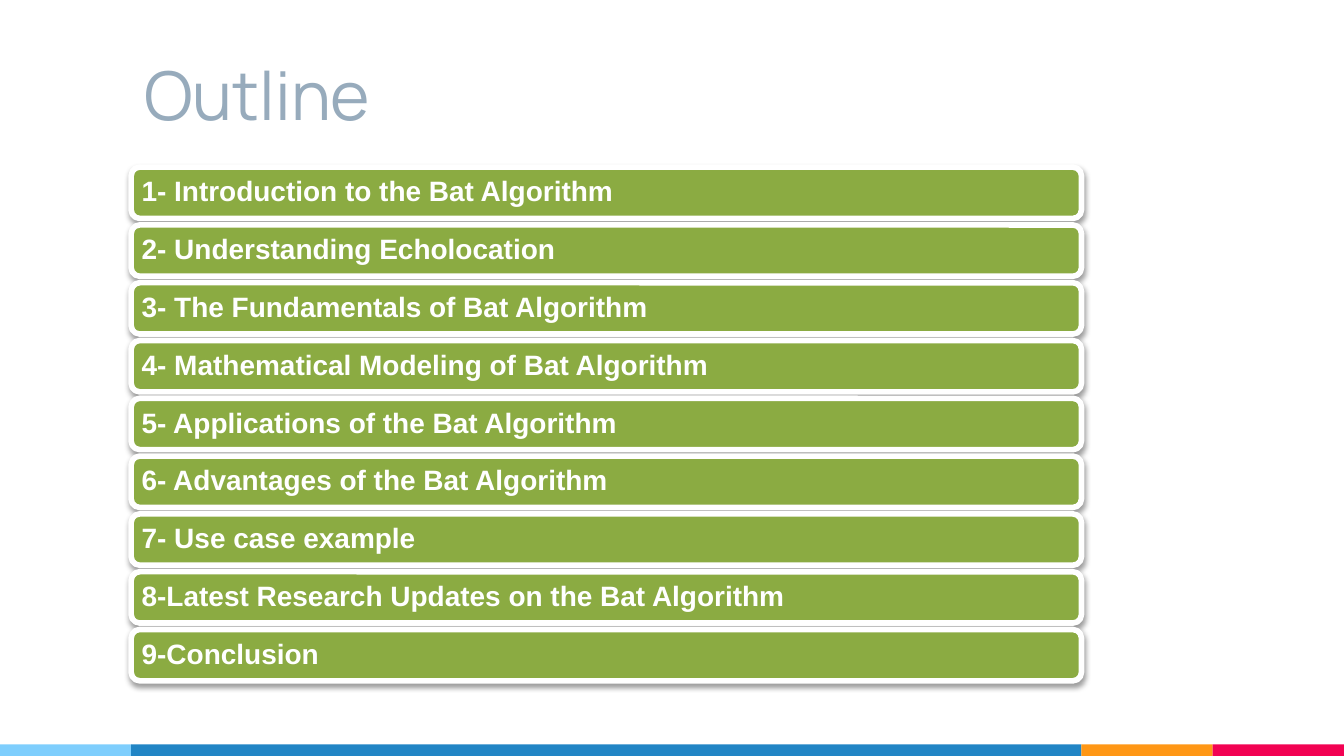
from lxml import etree
from pptx import Presentation
from pptx import util as u
from pptx.dml.color import RGBColor
from pptx.enum import shapes, text
from pptx.oxml import ns

HUES = {
    "title": "97ABBC", "bar": "8BAB42", "white": "FFFFFF", "black": "000000",
    "sky": "7ECEFD", "blue": "2185C5", "gold": "FF9715", "red": "F20253",
}
TOPICS = [
    "1- Introduction to the Bat Algorithm",
    "2- Understanding Echolocation",
    "3- The Fundamentals of Bat Algorithm",
    "4- Mathematical Modeling of Bat Algorithm",
    "5- Applications of the Bat Algorithm",
    "6- Advantages of the Bat Algorithm",
    "7- Use case example",
    "8-Latest Research Updates on the Bat Algorithm",
    "9-Conclusion",
]
WIDE, HIGH = 25.4, 14.29
EDGE, BODY = 2.48, 17.96


def hue(name):
    return RGBColor.from_string(HUES[name])


def add_box(slide, kind, box, fill):
    shape = slide.shapes.add_shape(kind, *map(u.Cm, box))
    shape.shadow.inherit = False
    shape.fill.solid()
    shape.fill.fore_color.rgb = hue(fill)
    shape.line.fill.background()
    return shape


def add_shade(shape):
    """Give the shape a soft shadow just below it."""
    effects = shape._element.spPr.find(ns.qn("a:effectLst"))
    shade = etree.SubElement(
        effects, ns.qn("a:outerShdw"), blurRad=str(u.Pt(3.1)),
        dist=str(u.Pt(1.6)), dir="5400000", rotWithShape="0")
    tint = etree.SubElement(shade, ns.qn("a:srgbClr"), val=HUES["black"])
    etree.SubElement(tint, ns.qn("a:alpha"), val="38000")


def write(shape, words, font, size, color, inset, bold=False):
    frame = shape.text_frame
    frame.text = words
    frame.word_wrap = True
    frame.vertical_anchor = text.MSO_ANCHOR.MIDDLE
    frame.margin_left = frame.margin_right = u.Cm(inset)
    frame.margin_top = frame.margin_bottom = u.Cm(inset)
    line = frame.paragraphs[0]
    line.alignment = text.PP_ALIGN.LEFT
    face = line.runs[0].font
    face.name, face.size, face.bold = font, u.Pt(size), bold
    face.color.rgb = hue(color)
    return line


def add_title(slide, box):
    shape = slide.shapes.add_textbox(*map(u.Cm, box))
    write(shape, "Outline", "Manrope", 36, "title", 0.25)


def add_topics(slide, box, topics):
    left, top, width, height = box
    bar = 0.97
    step = (height - bar) / (len(topics) - 1)
    for row, topic in enumerate(topics):
        shape = add_box(slide, shapes.MSO_SHAPE.ROUNDED_RECTANGLE,
                        (left, top + row * step, width, bar), "bar")
        shape.line.color.rgb = hue("white")
        shape.line.width = u.Pt(3)
        add_shade(shape)
        line = write(shape, topic, "Arial", 15, "white", 0.15, True)
        line.line_spacing = 0.9


def add_strip(slide, box):
    left, top, width, height = box
    parts = [("sky", EDGE), ("blue", width - 3 * EDGE),
             ("gold", EDGE), ("red", EDGE)]
    for color, wide in parts:
        add_box(slide, shapes.MSO_SHAPE.RECTANGLE,
                (left, top, wide, height), color)
        left += wide


def main():
    deck = Presentation()
    deck.slide_width, deck.slide_height = u.Cm(WIDE), u.Cm(HIGH)
    slide = deck.slides.add_slide(deck.slide_layouts[6])
    add_strip(slide, (0, 14.07, WIDE, 0.22))
    add_title(slide, (EDGE, 0.58, BODY, 2.39))
    add_topics(slide, (EDGE, 3.16, BODY, 9.71), TOPICS)
    deck.save("out.pptx")


if __name__ == "__main__":
    main()
